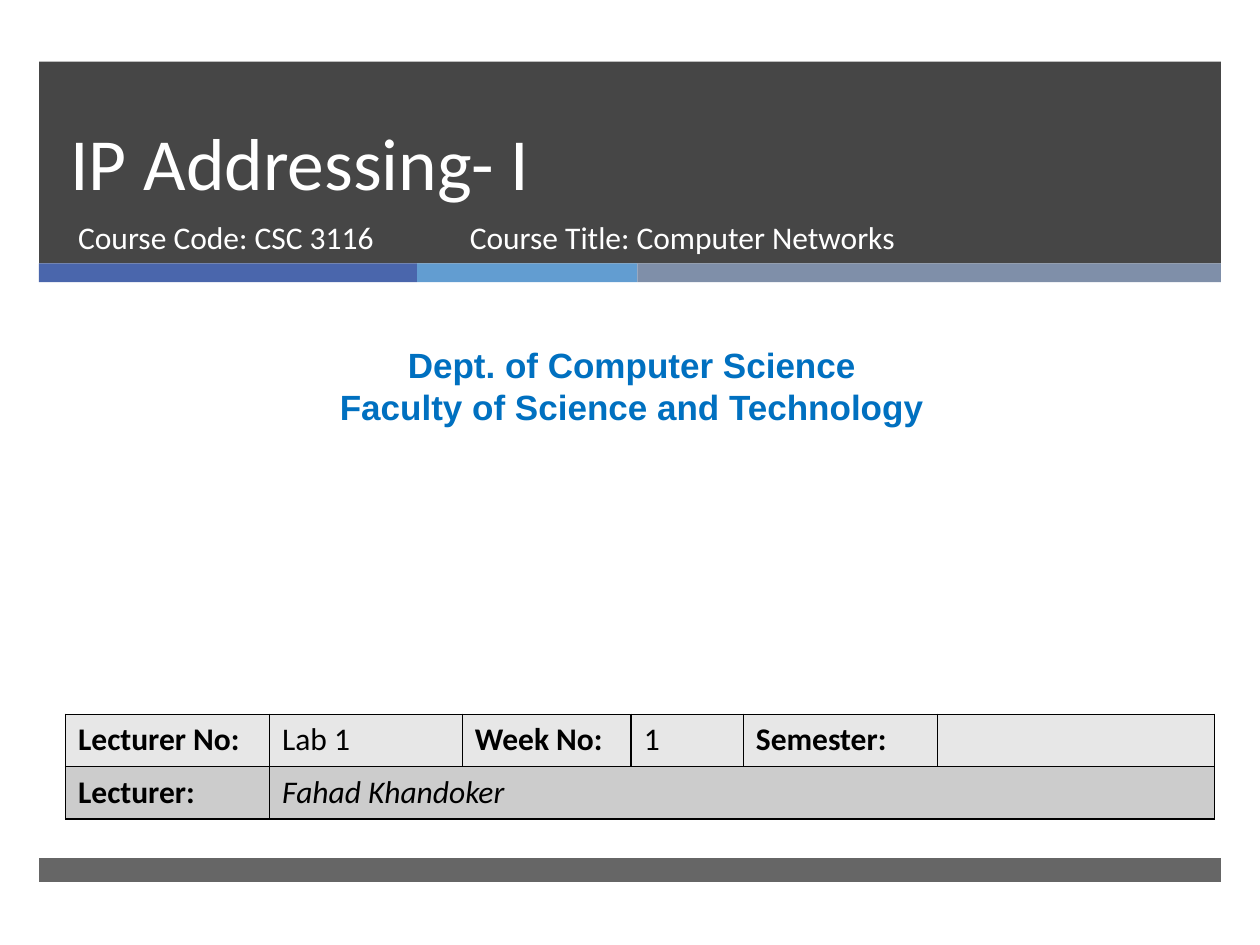
from dataclasses import dataclass

from lxml.etree import SubElement
from pptx import Presentation
from pptx.dml.color import RGBColor
from pptx.enum.shapes import MSO_SHAPE
from pptx.enum.text import MSO_ANCHOR, MSO_AUTO_SIZE, PP_ALIGN
from pptx.oxml.ns import qn
from pptx.util import Inches, Pt


@dataclass(frozen=True)
class Theme:
    dark: str = "262626"
    accents: tuple = ("4A66AC", "629DD1", "7F8FA9")
    light_text: str = "FFFFFF"
    dark_text: str = "000000"
    heading: str = "0070C0"
    row_fills: tuple = ("E7E7E7", "CCCCCC")
    body_font: str = "Calibri"
    heading_font: str = "Arial"
    title_size: int = 42
    heading_size: int = 20
    body_size: int = 18


THEME = Theme()
LEFT, WIDTH = 0.31, 9.38
HEADER_TOP, STRIPE_TOP = 0.49, 2.09
COURSE_TOP, COURSE_HEIGHT = 1.68, 0.53


def rgb(color):
    return RGBColor.from_string(color)


def add_bar(slide, left, top, width, height, color, opacity=100):
    bar = slide.shapes.add_shape(
        MSO_SHAPE.RECTANGLE, *map(Inches, (left, top, width, height)))
    bar.shadow.inherit = False
    bar.line.fill.background()
    bar.fill.solid()
    bar.fill.fore_color.rgb = rgb(color)
    if opacity < 100:
        color_element = bar.fill._xPr.find(qn("a:solidFill"))[0]
        SubElement(color_element, qn("a:alpha"), val=str(opacity * 1000))


def write_text(frame, *lines, size=THEME.body_size, color=THEME.dark_text,
               font=THEME.body_font, bold=False, italic=False,
               align=PP_ALIGN.LEFT, spacing=None):
    frame.word_wrap = True
    for index, line in enumerate(lines):
        paragraph = frame.add_paragraph() if index else frame.paragraphs[0]
        paragraph.alignment = align
        paragraph.space_before = Pt(0)
        if spacing:
            paragraph.line_spacing = Pt(spacing)
        run = paragraph.add_run()
        run.text = line
        run.font.size, run.font.name = Pt(size), font
        run.font.bold, run.font.italic = bold, italic
        run.font.color.rgb = rgb(color)


def fill_placeholder(shape, box, text, anchor, **text_format):
    shape.left, shape.top, shape.width, shape.height = map(Inches, box)
    shape.text_frame.auto_size = MSO_AUTO_SIZE.NONE
    shape.text_frame.vertical_anchor = anchor
    write_text(shape.text_frame, text, color=THEME.light_text, **text_format)


def add_text_box(slide, box, *lines, **text_format):
    text_box = slide.shapes.add_textbox(*map(Inches, box))
    write_text(text_box.text_frame, *lines, **text_format)


def format_cell(cell, fill):
    """Give the cell a solid fill and a thin black border on every side."""
    properties = cell._tc.get_or_add_tcPr()
    for side in ("lnL", "lnR", "lnT", "lnB"):
        line = SubElement(properties, qn(f"a:{side}"), w=str(Pt(1)))
        solid = SubElement(line, qn("a:solidFill"))
        SubElement(solid, qn("a:srgbClr"), val=THEME.dark_text)
    cell.fill.solid()
    cell.fill.fore_color.rgb = rgb(fill)


def add_lecture_table(slide):
    column_widths = (1.62, 1.53, 1.34, 0.89, 1.54, 2.2)
    rows = (("Lecturer No:", "Lab 1", "Week No:", "1", "Semester:", ""),
            ("Lecturer:", "Fahad Khandoker", "", "", "", ""))
    row_height = 0.415
    frame = slide.shapes.add_table(
        len(rows), len(column_widths), Inches(0.52), Inches(5.67),
        Inches(sum(column_widths)), Inches(row_height * len(rows)))
    table = frame.table
    for column, width in zip(table.columns, column_widths):
        column.width = Inches(width)
    for row_index, texts in enumerate(rows):
        for column_index, text in enumerate(texts):
            cell = table.cell(row_index, column_index)
            format_cell(cell, THEME.row_fills[row_index])
            if text:
                write_text(cell.text_frame, text, bold=column_index % 2 == 0,
                           italic=row_index == 1 and column_index == 1)
    table.cell(1, 1).merge(table.cell(1, len(column_widths) - 1))


def add_bars(slide):
    add_bar(slide, LEFT, HEADER_TOP, WIDTH, STRIPE_TOP - HEADER_TOP,
            THEME.dark, opacity=85)
    left = LEFT
    for width, color in zip((3, 1.75, 4.63), THEME.accents):
        add_bar(slide, left, STRIPE_TOP, width, 0.15, color)
        left += width
    add_bar(slide, LEFT, 6.81, WIDTH, 0.19, THEME.dark, opacity=70)


def send_to_front(shape):
    shape._element.getparent().append(shape._element)


def main():
    presentation = Presentation()
    presentation.slide_width, presentation.slide_height = Inches(10), Inches(7.5)
    slide = presentation.slides.add_slide(presentation.slide_layouts[0])
    title, subtitle = slide.placeholders
    add_bars(slide)
    for placeholder in (title, subtitle):
        send_to_front(placeholder)
    fill_placeholder(title, (0.46, HEADER_TOP, 8.54, COURSE_TOP - HEADER_TOP),
                     "IP Addressing- I", MSO_ANCHOR.BOTTOM,
                     size=THEME.title_size, spacing=46)
    fill_placeholder(subtitle, (0.52, COURSE_TOP, 3.05, COURSE_HEIGHT),
                     "Course Code: CSC 3116", MSO_ANCHOR.TOP)
    add_text_box(slide, (0.08, 2.68, 9.87, 0.77),
                 "Dept. of Computer Science", "Faculty of Science and Technology",
                 size=THEME.heading_size, color=THEME.heading, bold=True,
                 font=THEME.heading_font, align=PP_ALIGN.CENTER, spacing=24)
    add_text_box(slide, (3.63, COURSE_TOP, 4.55, COURSE_HEIGHT),
                 "Course Title: Computer Networks", color=THEME.light_text)
    add_lecture_table(slide)
    presentation.save("out.pptx")


if __name__ == "__main__":
    main()
